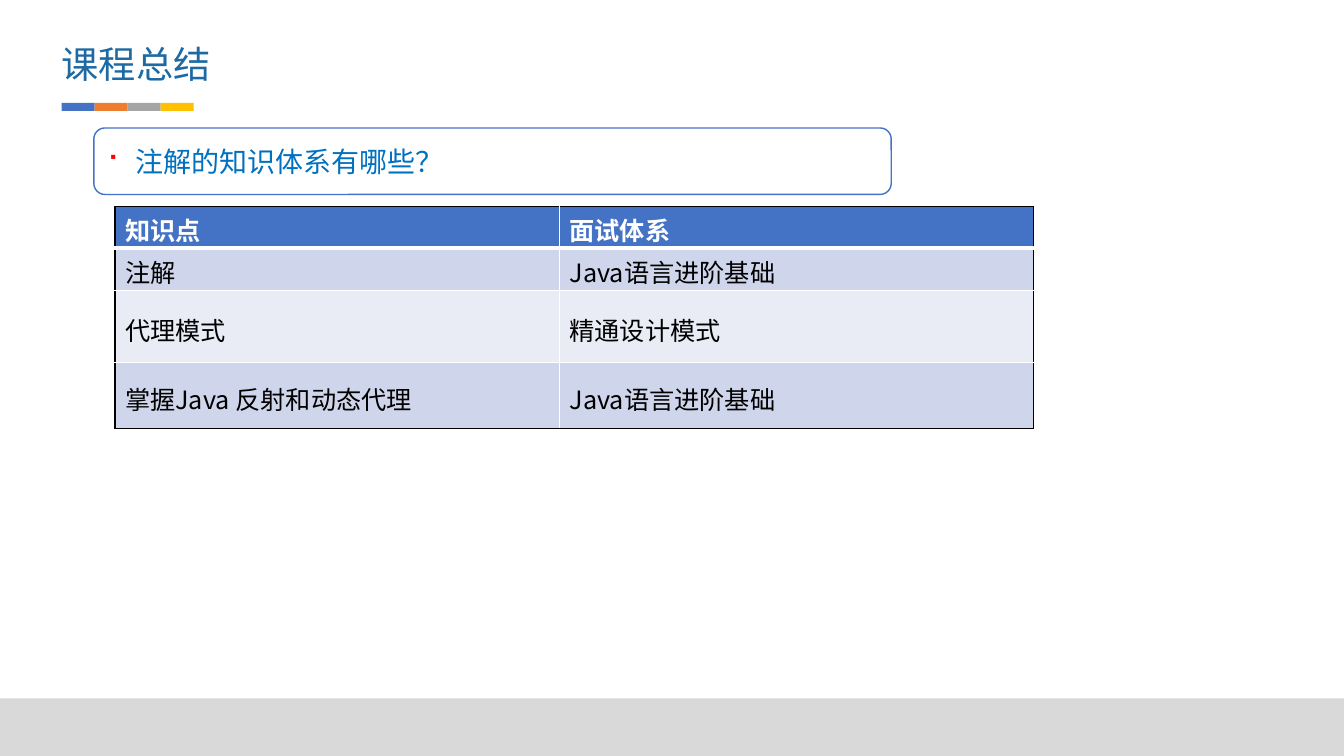
"""Build the course summary slide with a question box and a knowledge table."""
from lxml import etree
from pptx import Presentation, util as u
from pptx.dml.color import RGBColor
from pptx.enum import shapes as kinds, text as txt
from pptx.oxml.ns import qn

FONT = "Noto Sans CJK SC"
WIDTH, HEIGHT = u.Inches(13.333), u.Inches(7.5)
BLUE, WHITE, BLACK = "4472C4", "FFFFFF", "000000"
STRIPES = [BLUE, "ED7D31", "A5A5A5", "FFC000"]
BANDS = ["CFD5EA", "E9EBF5"]
TOPICS = [
    ("知识点", "面试体系"),
    ("注解", "Java语言进阶基础"),
    ("代理模式", "精通设计模式"),
    ("掌握Java 反射和动态代理", "Java语言进阶基础"),
]
COLUMN_SHARES = [33.08, 35.25]
ROW_SHARES = [5.47, 5.6, 9.6, 8.67]


def color(hex_value):
    return RGBColor.from_string(hex_value)


def across(share):
    return round(WIDTH * share / 100)


def down(share):
    return round(HEIGHT * share / 100)


def area(left, top, width, height):
    """Turn percentages of the slide into a position and a size."""
    return across(left), down(top), across(width), down(height)


def write(paragraph, words, size, ink, bold=False):
    paragraph.text = words
    font = paragraph.font
    font.name, font.size, font.bold = FONT, u.Pt(size), bold
    font.color.rgb = color(ink)
    defaults = paragraph._p.pPr.find(qn("a:defRPr"))
    etree.SubElement(defaults, qn("a:ea"), typeface=FONT)


def add_block(holder, kind, place, fill, outline=None):
    block = holder.add_shape(kind, *place)
    block.shadow.inherit = False
    block.fill.solid()
    block.fill.fore_color.rgb = color(fill)
    if outline:
        block.line.color.rgb = color(outline)
        block.line.width = u.Pt(1)
    else:
        block.line.fill.background()
    return block


def add_title(slide, words):
    title = slide.shapes.add_textbox(*area(4.58, 5.47, 30.38, 6)).text_frame
    title.word_wrap = True
    title.margin_left = title.margin_right = 0
    title.margin_top = title.margin_bottom = 0
    write(title.paragraphs[0], words, 26.6, "1D69A3")


def add_stripes(slide):
    group = slide.shapes.add_group_shape()
    step = 2.46
    for i, fill in enumerate(STRIPES):
        place = area(4.58 + i * step, 13.6, step, 1.07)
        add_block(group.shapes, kinds.MSO_SHAPE.RECTANGLE, place, fill)


def add_question(slide, words):
    place = area(6.98, 16.93, 59.33, 8.8)
    question = add_block(slide.shapes, kinds.MSO_SHAPE.ROUNDED_RECTANGLE,
                         place, WHITE, BLUE).text_frame
    question.word_wrap = True
    question.vertical_anchor = txt.MSO_ANCHOR.MIDDLE
    line = question.paragraphs[0]
    line.alignment = txt.PP_ALIGN.LEFT
    props = line._p.get_or_add_pPr()
    indent = u.Inches(0.28)
    props.set("marL", str(indent))
    props.set("indent", str(-indent))
    tint = etree.SubElement(props, qn("a:buClr"))
    etree.SubElement(tint, qn("a:srgbClr"), val="FF0000")
    etree.SubElement(props, qn("a:buFont"), typeface="Wingdings")
    etree.SubElement(props, qn("a:buChar"), char="■")
    write(line, words, 20, "0070C0")


def add_border(cell, side, ink, points):
    edge = etree.SubElement(cell._tc.get_or_add_tcPr(), qn(f"a:ln{side}"),
                            w=str(u.Pt(points)))
    fill = etree.SubElement(edge, qn("a:solidFill"))
    etree.SubElement(fill, qn("a:srgbClr"), val=ink)


def style_cell(cell, row, column):
    """Give a cell black outer edges, white inner edges and a banded fill."""
    last_row, last_column = len(TOPICS) - 1, len(COLUMN_SHARES) - 1
    outer = {"L": column == 0, "R": column == last_column,
             "T": row == 0, "B": row == last_row}
    for side, is_outer in outer.items():
        below_header = (row, side) in [(0, "B"), (1, "T")]
        add_border(cell, side, BLACK if is_outer else WHITE,
                   3 if below_header else 1)
    cell.fill.solid()
    cell.fill.fore_color.rgb = color(BANDS[(row - 1) % 2] if row else BLUE)
    cell.margin_bottom = 0
    cell.vertical_anchor = (txt.MSO_ANCHOR.MIDDLE if row
                            else txt.MSO_ANCHOR.TOP)


def add_topics(slide):
    place = area(8.55, 27.33, sum(COLUMN_SHARES), sum(ROW_SHARES))
    topics = slide.shapes.add_table(len(TOPICS), len(COLUMN_SHARES),
                                    *place).table
    for column, share in zip(topics.columns, COLUMN_SHARES):
        column.width = across(share)
    for i, (share, entries) in enumerate(zip(ROW_SHARES, TOPICS)):
        topics.rows[i].height = down(share)
        for j, words in enumerate(entries):
            cell = topics.cell(i, j)
            style_cell(cell, i, j)
            write(cell.text_frame.paragraphs[0], words, 18,
                  BLACK if i else WHITE, bold=i == 0)


def main():
    deck = Presentation()
    deck.slide_width, deck.slide_height = WIDTH, HEIGHT
    slide = deck.slides.add_slide(deck.slide_layouts[6])
    add_block(slide.shapes, kinds.MSO_SHAPE.RECTANGLE,
              area(0, 92.4, 100, 7.6), "D9D9D9")
    add_title(slide, "课程总结")
    add_stripes(slide)
    add_question(slide, "注解的知识体系有哪些？")
    add_topics(slide)
    deck.save("out.pptx")


if __name__ == "__main__":
    main()
